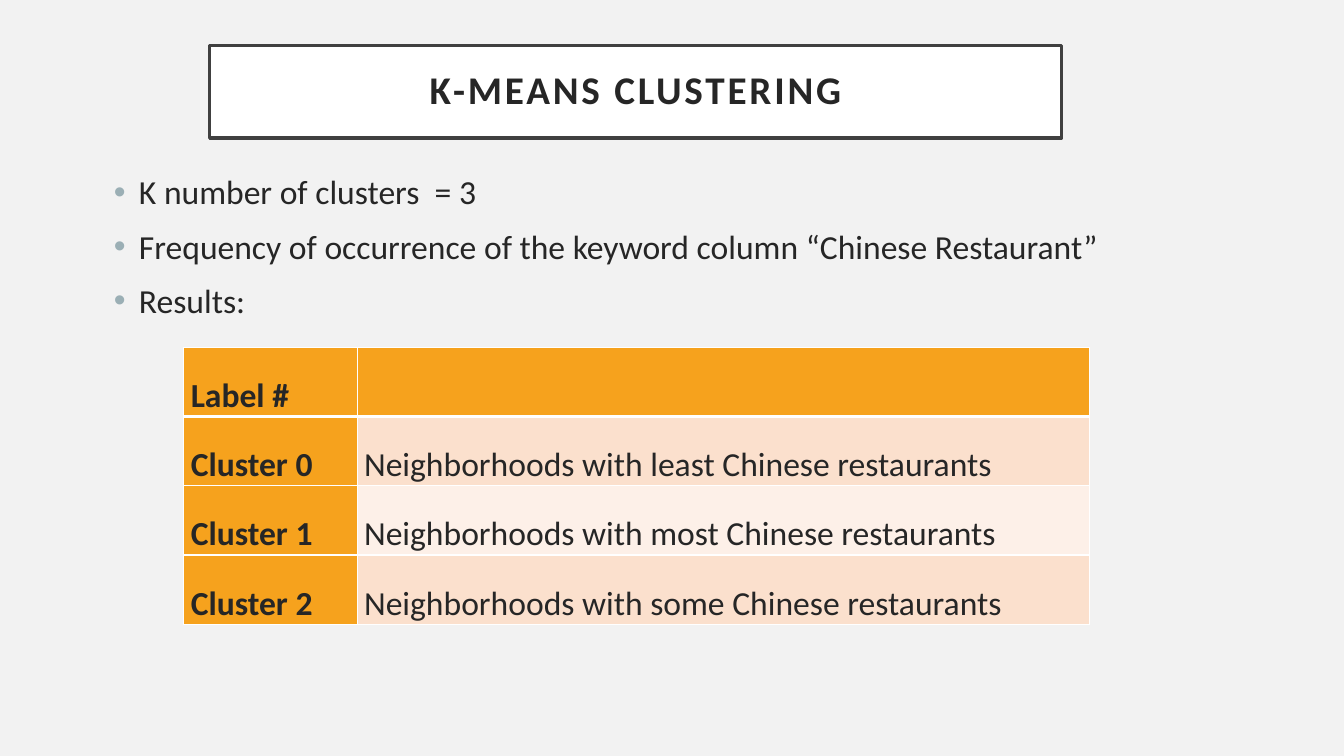
"""Build the K-means clustering slide with its bullets and results table."""
from lxml.etree import SubElement
from pptx import Presentation
from pptx.dml.color import RGBColor
from pptx.enum.shapes import MSO_SHAPE as Shape
from pptx.enum.text import MSO_ANCHOR as Anchor, PP_ALIGN as Align
from pptx.oxml.ns import qn
from pptx.util import Pt

HEADING = "K-MEANS CLUSTERING"
POINTS = [
    "K number of clusters  = 3",
    "Frequency of occurrence of the keyword column “Chinese Restaurant”",
    "Results:",
]
RESULTS = [
    ("Label #", ""),
    ("Cluster 0", "Neighborhoods with least Chinese restaurants"),
    ("Cluster 1", "Neighborhoods with most Chinese restaurants"),
    ("Cluster 2", "Neighborhoods with some Chinese restaurants"),
]
COLUMN_WIDTHS = (123.8, 523.4)
ROW_HEIGHT = 49.5

FONT = "Calibri"
PAPER = RGBColor(0xF2, 0xF2, 0xF2)
WHITE = RGBColor(0xFF, 0xFF, 0xFF)
FRAME = RGBColor(0x40, 0x40, 0x40)
INK = RGBColor(0x26, 0x26, 0x26)
BULLET = RGBColor(0x9B, 0xAF, 0xB5)
ORANGE = RGBColor(0xF6, 0xA2, 0x1D)
BANDS = (RGBColor(0xFD, 0xF0, 0xE8), RGBColor(0xFB, 0xE0, 0xCD))


def add_text(paragraph, text, size=24, bold=False):
    run = paragraph.add_run()
    run.text = text
    font = run.font
    font.name, font.size, font.bold = FONT, Pt(size), bold
    font.color.rgb = INK
    return run


def add_solid(parent, color):
    fill = SubElement(parent, qn("a:solidFill"))
    SubElement(fill, qn("a:srgbClr"), val=str(color))


def add_bullet(paragraph):
    props = paragraph._p.get_or_add_pPr()
    props.set("marL", str(Pt(18)))
    props.set("indent", str(-Pt(18)))
    color = SubElement(props, qn("a:buClr"))
    SubElement(color, qn("a:srgbClr"), val=str(BULLET))
    SubElement(props, qn("a:buFont"), typeface="Arial")
    SubElement(props, qn("a:buChar"), char="•")


def add_borders(cell, top, bottom):
    props = cell._tc.get_or_add_tcPr()
    for side, width in (("L", 1), ("R", 1), ("T", top), ("B", bottom)):
        add_solid(SubElement(props, qn(f"a:ln{side}"), w=str(Pt(width))), WHITE)


def add_heading(slide):
    heading = slide.shapes.add_shape(Shape.RECTANGLE, Pt(149.8), Pt(32.4), Pt(608.4), Pt(66.2))
    heading.shadow.inherit = False
    heading.fill.solid()
    heading.fill.fore_color.rgb = WHITE
    heading.line.color.rgb = FRAME
    heading.line.width = Pt(2.5)
    frame = heading.text_frame
    frame.word_wrap = True
    frame.vertical_anchor = Anchor.MIDDLE
    frame.margin_left = frame.margin_right = frame.margin_top = frame.margin_bottom = Pt(14.4)
    paragraph = frame.paragraphs[0]
    paragraph.alignment = Align.CENTER
    paragraph.line_spacing = 0.9
    run = add_text(paragraph, HEADING, 28, True)
    run._r.get_or_add_rPr().set("spc", "200")


def add_points(slide):
    frame = slide.shapes.add_textbox(Pt(74.2), Pt(118.8), Pt(842.4), Pt(255.6)).text_frame
    frame.word_wrap = True
    for index, point in enumerate(POINTS):
        paragraph = frame.add_paragraph() if index else frame.paragraphs[0]
        add_bullet(paragraph)
        paragraph.space_before = Pt(10 if index else 0)
        add_text(paragraph, point)


def add_results(slide):
    results = slide.shapes.add_table(
        len(RESULTS), len(COLUMN_WIDTHS), Pt(131.3), Pt(248),
        Pt(sum(COLUMN_WIDTHS)), Pt(ROW_HEIGHT * len(RESULTS))).table
    results.horz_banding = False
    for column, width in zip(results.columns, COLUMN_WIDTHS):
        column.width = Pt(width)
    for r, entry in enumerate(RESULTS):
        results.rows[r].height = Pt(ROW_HEIGHT)
        for c, text in enumerate(entry):
            cell = results.cell(r, c)
            is_label = r == 0 or c == 0
            cell.vertical_anchor = Anchor.BOTTOM
            cell.margin_left = cell.margin_right = Pt(5)
            cell.margin_top = cell.margin_bottom = 0
            add_borders(cell, 3 if r == 1 else 1, 3 if r == 0 else 1)
            cell.fill.solid()
            cell.fill.fore_color.rgb = ORANGE if is_label else BANDS[r % 2]
            if text:
                add_text(cell.text_frame.paragraphs[0], text, bold=is_label)


def main():
    deck = Presentation()
    deck.slide_width, deck.slide_height = Pt(960), Pt(540)
    slide = deck.slides.add_slide(deck.slide_layouts[6])
    slide.background.fill.solid()
    slide.background.fill.fore_color.rgb = PAPER
    add_heading(slide)
    add_points(slide)
    add_results(slide)
    deck.save("out.pptx")


if __name__ == "__main__":
    main()
